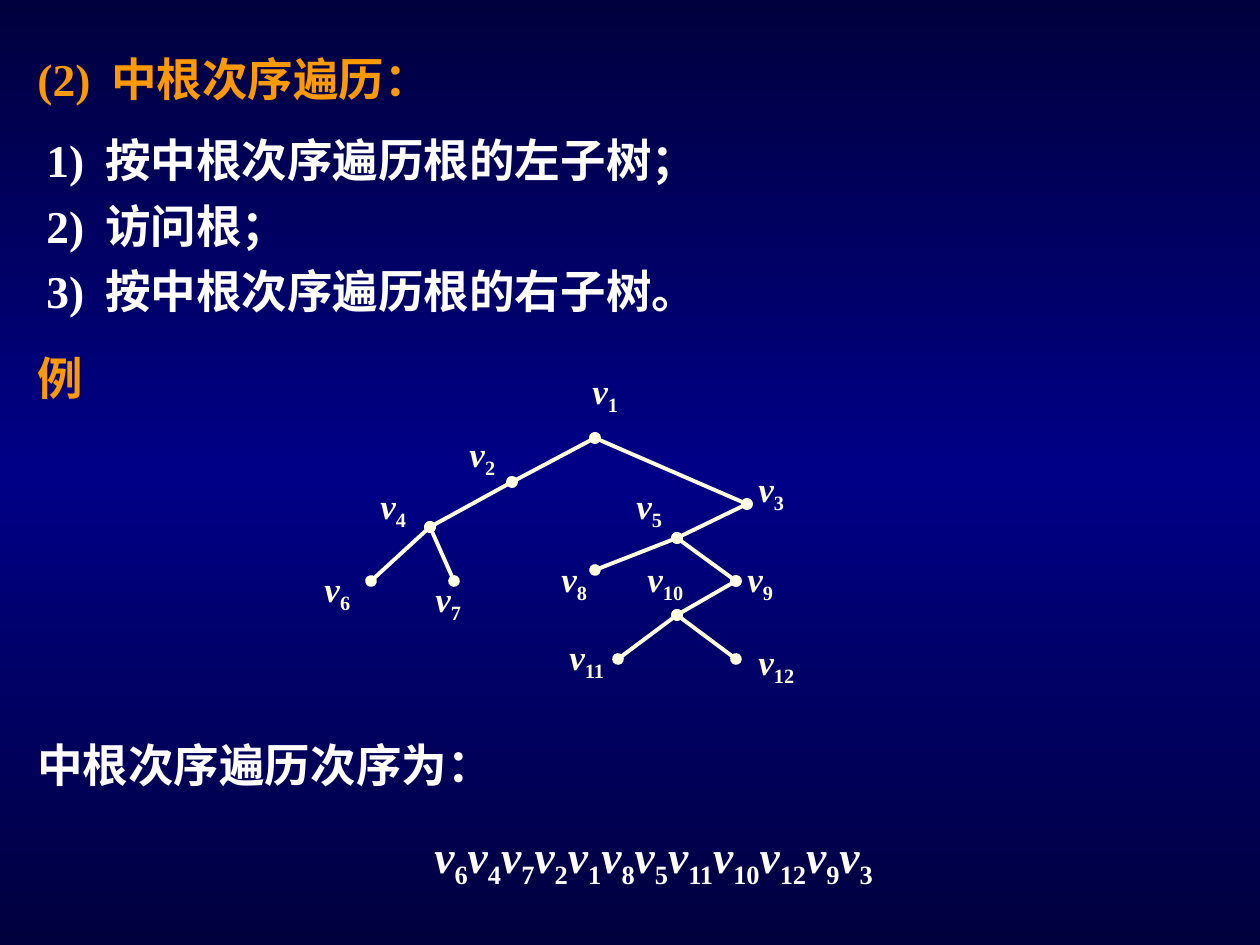
from copy import deepcopy

from lxml import etree
from pptx import Presentation
from pptx.dml.color import RGBColor
from pptx.enum.shapes import MSO_CONNECTOR
from pptx.enum.text import MSO_AUTO_SIZE
from pptx.oxml.ns import qn
from pptx.util import Pt

STRAIGHT = MSO_CONNECTOR.STRAIGHT
GROW = MSO_AUTO_SIZE.SHAPE_TO_FIT_TEXT
SCALE = 914400 / 126
SERIF, SANS = "Times New Roman", "Arial"
COLORS = {"edge": "00003E", "mid": "000086", "head": "FF9900",
          "text": "FFFFFF", "tree": "FFFFE1"}

# Node number: (dot x, dot y), (label left, label top, label width)
NODES = {
    1: ((595, 438), (580, 363, 62)),
    2: ((512, 482), (457, 426, 68)),
    3: ((747, 504), (746, 461, 83)),
    4: ((430, 527), (368, 478, 108)),
    5: ((677, 538), (624, 478, 67)),
    6: ((371, 581), (312, 561, 67)),
    7: ((454, 581), (423, 571, 78)),
    8: ((595, 570), (549, 551, 72)),
    9: ((736, 581), (735, 551, 86)),
    10: ((677, 615), (635, 551, 82)),
    11: ((618, 659), (557, 629, 82)),
    12: ((736, 659), (746, 634, 82)),
}
EDGES = [(1, 2), (2, 4), (4, 6), (4, 7), (1, 3), (3, 5),
         (5, 8), (5, 9), (9, 10), (10, 11), (10, 12)]
ORDER = [6, 4, 7, 2, 1, 8, 5, 11, 10, 12, 9, 3]


def px(n):
    return round(n * SCALE)


def rgb(name):
    return RGBColor.from_string(COLORS[name])


def style(font, size, color, face=SERIF):
    font.size, font.name, font.bold = Pt(size), face, True
    font.color.rgb = rgb(color)


def add_box(shapes, left, top, width, height):
    box = shapes.add_textbox(px(left), px(top), px(width), px(height))
    frame = box.text_frame
    frame.word_wrap = True
    frame.auto_size = GROW
    return frame


def add_text(shapes, spot, text, color, face=SERIF, tab=None, space=None):
    frame = add_box(shapes, *spot)
    frame.text = text
    for para in frame.paragraphs:
        if tab:
            tabs = etree.SubElement(para._p.get_or_add_pPr(), qn("a:tabLst"))
            etree.SubElement(tabs, qn("a:tab"), pos=str(px(tab)), algn="l")
        if space:
            para.line_spacing = space
        for run in para.runs:
            style(run.font, 26, color, face)


def add_names(shapes, spot, nums, size, color):
    """Write each node name as an italic v with its number below."""
    para = add_box(shapes, *spot).paragraphs[0]
    for num in nums:
        for text in ("v", str(num)):
            run = para.add_run()
            run.text = text
            style(run.font, size, color)
            run.font.italic = text == "v"
            if text != "v":
                run.font._element.set("baseline", "-25000")


def add_edge(shapes, start, end):
    edge = shapes.add_connector(STRAIGHT, *map(px, start + end))
    edge.line.width = Pt(2.25)
    edge.line.color.rgb = rgb("tree")
    props = edge._element.spPr
    line = props.find(qn("a:ln"))
    for tag in ("a:headEnd", "a:tailEnd"):
        etree.SubElement(line, qn(tag), type="oval")
    etree.SubElement(props, qn("a:effectLst"))


def add_tree(slide):
    shapes = slide.shapes.add_group_shape().shapes
    for start, end in EDGES:
        add_edge(shapes, NODES[start][0], NODES[end][0])
    for num, (_, label) in NODES.items():
        add_names(shapes, (*label, 60), [num], 20, "tree")


def fill_back(slide):
    fill = slide.background.fill
    fill.gradient()
    fill.gradient_angle = 90
    stops = slide._element.find(".//" + qn("a:gsLst"))
    stops.append(deepcopy(stops[0]))
    for stop, pos, name in zip(fill.gradient_stops, (0, 0.5, 1),
                               ("edge", "mid", "edge")):
        stop.position = pos
        stop.color.rgb = rgb(name)


def main():
    deck = Presentation()
    deck.slide_width, deck.slide_height = px(1260), px(945)
    slide = deck.slides.add_slide(deck.slide_layouts[6])
    shapes = slide.shapes
    fill_back(slide)

    # Heading and steps
    add_text(shapes, (25, 45, 498, 68), "(2)\t中根次序遍历：", "head", tab=74)
    steps = ["按中根次序遍历根的左子树；", "访问根；", "按中根次序遍历根的右子树。"]
    text = "\n".join(f"{i})\t{step}" for i, step in enumerate(steps, 1))
    add_text(shapes, (34, 115, 1102, 209), text, "text", tab=59, space=1.2)

    # Result of the traversal
    add_names(shapes, (422, 822, 527, 76), ORDER, 26, "text")
    add_text(shapes, (25, 731, 625, 68), "中根次序遍历次序为：", "text", SANS)

    # Example tree
    add_text(shapes, (25, 344, 103, 68), "例", "head", SANS)
    add_tree(slide)
    deck.save("out.pptx")


if __name__ == "__main__":
    main()
